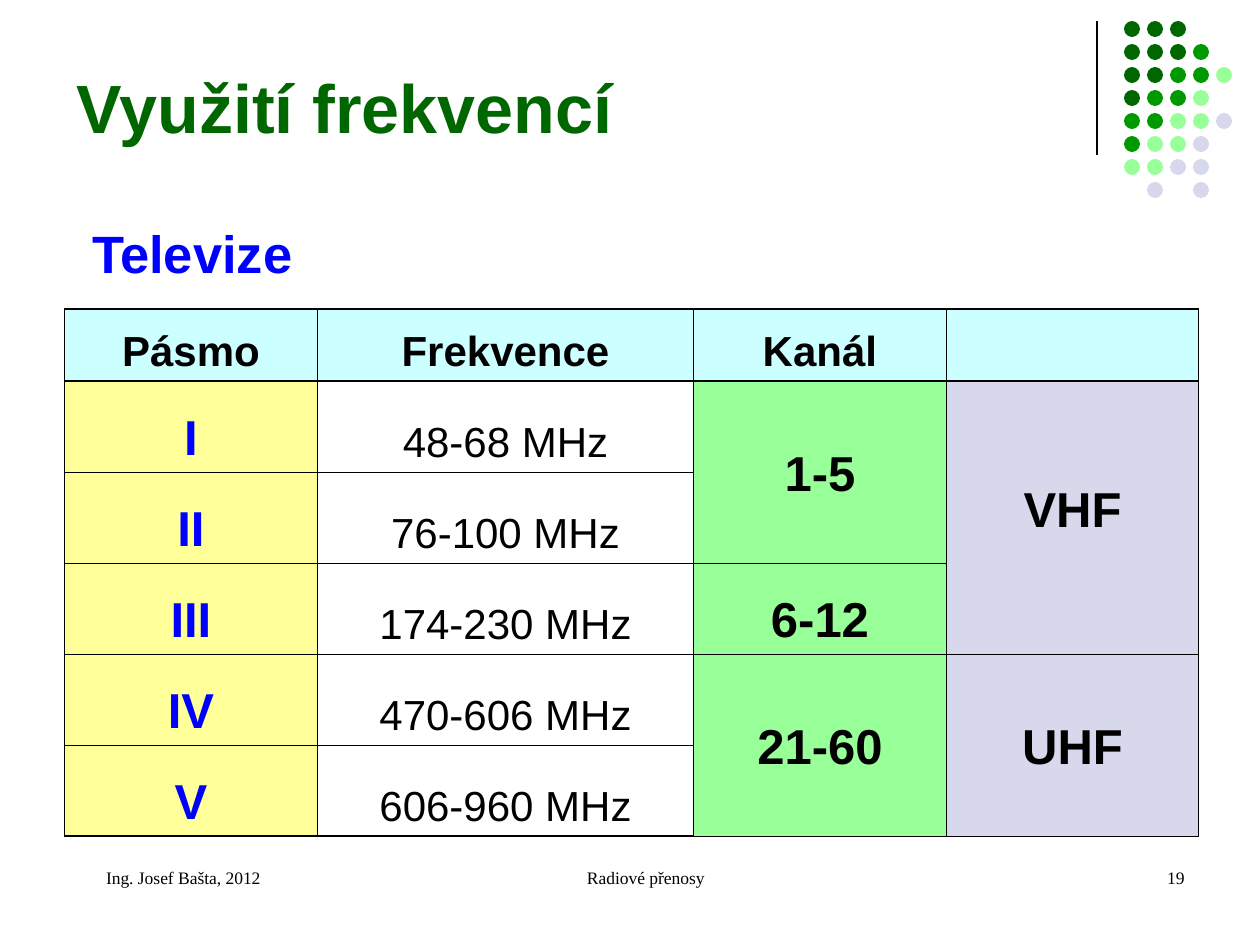
from lxml.etree import SubElement
from pptx import Presentation
from pptx.dml.color import RGBColor
from pptx.enum.shapes import MSO_CONNECTOR, MSO_SHAPE
from pptx.enum.text import MSO_ANCHOR, MSO_AUTO_SIZE, PP_ALIGN
from pptx.oxml.ns import qn
from pptx.util import Pt

BLACK = RGBColor(0x00, 0x00, 0x00)
BLUE = RGBColor(0x00, 0x00, 0xFF)
DARK_GREEN = RGBColor(0x00, 0x66, 0x00)
GREEN = RGBColor(0x00, 0x99, 0x00)
LIGHT_GREEN = RGBColor(0x99, 0xFF, 0x99)
LAVENDER = RGBColor(0xD8, 0xD8, 0xEC)
CYAN = RGBColor(0xCC, 0xFF, 0xFF)
YELLOW = RGBColor(0xFF, 0xFF, 0x99)

TITLE = "Využití frekvencí"
SUBTITLE = "Televize"
ROWS = [
    ("Pásmo", "Frekvence", "Kanál", ""),
    ("I", "48-68 MHz", "1-5", "VHF"),
    ("II", "76-100 MHz", "", ""),
    ("III", "174-230 MHz", "6-12", ""),
    ("IV", "470-606 MHz", "21-60", "UHF"),
    ("V", "606-960 MHz", "", ""),
]
ROW_SPANS = {(1, 2): 2, (1, 3): 3, (4, 2): 2, (4, 3): 2}
HEADER_FORMAT = dict(fill=CYAN, size=24, bold=True, color=BLACK)
COLUMN_FORMATS = [
    dict(fill=YELLOW, size=28, bold=True, color=BLUE),
    dict(fill=None, size=24, bold=False, color=BLACK),
    dict(fill=LIGHT_GREEN, size=28, bold=True, color=BLACK),
    dict(fill=LAVENDER, size=28, bold=True, color=BLACK),
]
COLUMN_WIDTHS = [253, 376, 253, 252]
ROW_HEIGHTS = [72] + [91] * 5
FOOTERS = [
    ("Ing. Josef Bašta, 2012", 63, 294, PP_ALIGN.LEFT),
    ("Radiové přenosy", 431, 399, PP_ALIGN.CENTER),
    ("19", 903, 294, PP_ALIGN.RIGHT),
]
DOT_COLORS = {"d": DARK_GREEN, "g": GREEN, "l": LIGHT_GREEN, "v": LAVENDER}
DOT_ROWS = ["ddd", "dddg", "ddggl", "dggl", "ggllv", "gllv", "llvv", " v v"]
DOT_SIZE, DOT_PITCH = 16, 23
LINE_STEP = 55


def px(value):
    return round(value * 914400 / 126)


def write(frame, text, size, color=BLACK, bold=False, font="Arial", align=PP_ALIGN.LEFT):
    paragraph = frame.paragraphs[0]
    paragraph.alignment = align
    run = paragraph.add_run()
    run.text = text
    run.font.name = font
    run.font.size = Pt(size)
    run.font.bold = bold
    run.font.color.rgb = color


def add_text(slide, text, left, top, width, height, margin_left=13, margin_top=6, **style):
    frame = slide.shapes.add_textbox(px(left), px(top), px(width), px(height)).text_frame
    frame.word_wrap = True
    frame.margin_left, frame.margin_top = px(margin_left), px(margin_top)
    write(frame, text, **style)


def set_borders(cell, row, column):
    thick = {
        "a:lnL": column == 0,
        "a:lnR": column == len(COLUMN_WIDTHS) - 1,
        "a:lnT": row < 2,
        "a:lnB": row in (0, len(ROWS) - 1),
    }
    properties = cell._tc.get_or_add_tcPr()
    for tag, is_thick in thick.items():
        line = SubElement(properties, qn(tag), w=str(Pt(1.08 if is_thick else 0.45)))
        fill = SubElement(line, qn("a:solidFill"))
        SubElement(fill, qn("a:srgbClr"), val=str(BLACK))


def add_band_table(slide):
    table = slide.shapes.add_table(
        len(ROWS), len(COLUMN_WIDTHS), px(64.5), px(309),
        px(sum(COLUMN_WIDTHS)), px(sum(ROW_HEIGHTS))).table
    table.horz_banding = False
    for column, width in zip(table.columns, COLUMN_WIDTHS):
        column.width = px(width)
    for row, height in zip(table.rows, ROW_HEIGHTS):
        row.height = px(height)
    for row, texts in enumerate(ROWS):
        for column, text in enumerate(texts):
            cell = table.cell(row, column)
            style = dict(COLUMN_FORMATS[column] if row else HEADER_FORMAT)
            fill = style.pop("fill")
            set_borders(cell, row, column)
            if fill is None:
                cell.fill.background()
            else:
                cell.fill.solid()
                cell.fill.fore_color.rgb = fill
            span = ROW_SPANS.get((row, column), 1)
            cell.vertical_anchor = MSO_ANCHOR.BOTTOM
            cell.margin_bottom = px(6 + LINE_STEP * (span - 1))
            if text:
                write(cell.text_frame, text, align=PP_ALIGN.CENTER, **style)
            if span > 1:
                cell.merge(table.cell(row + span - 1, column))


def add_dots(slide):
    group = slide.shapes.add_group_shape()
    for row, codes in enumerate(DOT_ROWS):
        for column, code in enumerate(codes):
            if code in DOT_COLORS:
                dot = group.shapes.add_shape(
                    MSO_SHAPE.OVAL, px(1124 + column * DOT_PITCH),
                    px(21 + row * DOT_PITCH), px(DOT_SIZE), px(DOT_SIZE))
                dot.shadow.inherit = False
                dot.fill.solid()
                dot.fill.fore_color.rgb = DOT_COLORS[code]
                dot.line.fill.background()


def add_divider(slide):
    line = slide.shapes.add_connector(
        MSO_CONNECTOR.STRAIGHT, px(1097), px(21), px(1097), px(155))
    line.line.color.rgb = BLACK
    line.line.width = Pt(0.75)
    SubElement(line._element.spPr, qn("a:effectLst"))


def add_title(slide):
    title = slide.shapes.title
    title.left, title.top, title.width, title.height = px(64), px(45), px(1040), px(109)
    frame = title.text_frame
    frame.auto_size = MSO_AUTO_SIZE.NONE
    frame.vertical_anchor = MSO_ANCHOR.BOTTOM
    write(frame, TITLE, size=39, color=DARK_GREEN, bold=True)


def main():
    presentation = Presentation()
    presentation.slide_width, presentation.slide_height = px(1260), px(945)
    slide = presentation.slides.add_slide(presentation.slide_layouts[5])
    add_divider(slide)
    add_dots(slide)
    add_title(slide)
    add_text(slide, SUBTITLE, 79, 209, 358, 76, margin_top=12, size=30, color=BLUE, bold=True)
    add_band_table(slide)
    for text, left, width, align in FOOTERS:
        add_text(slide, text, left, 861, width, 63, margin_left=43,
                 size=10, font="Times New Roman", align=align)
    presentation.save("out.pptx")


if __name__ == "__main__":
    main()
